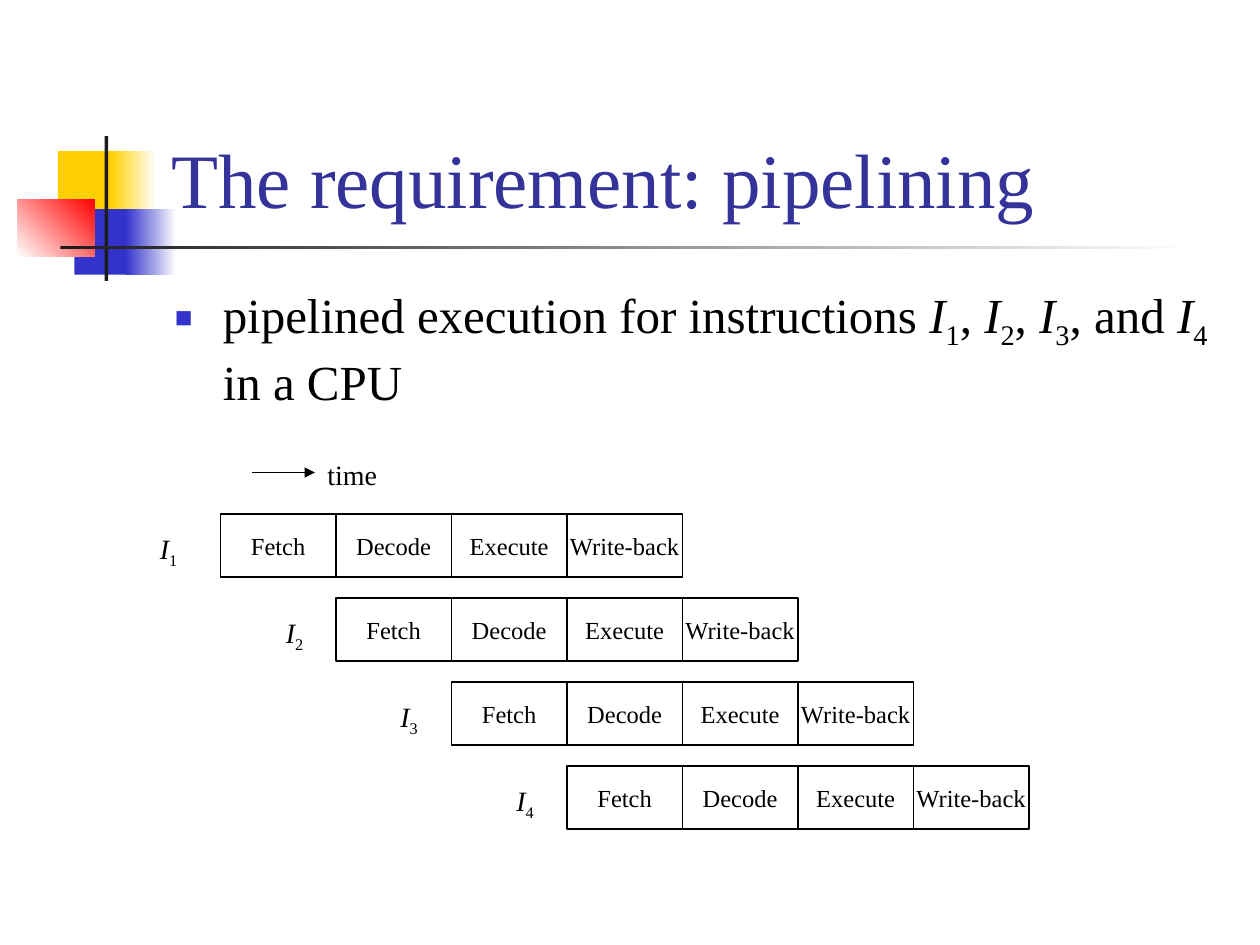
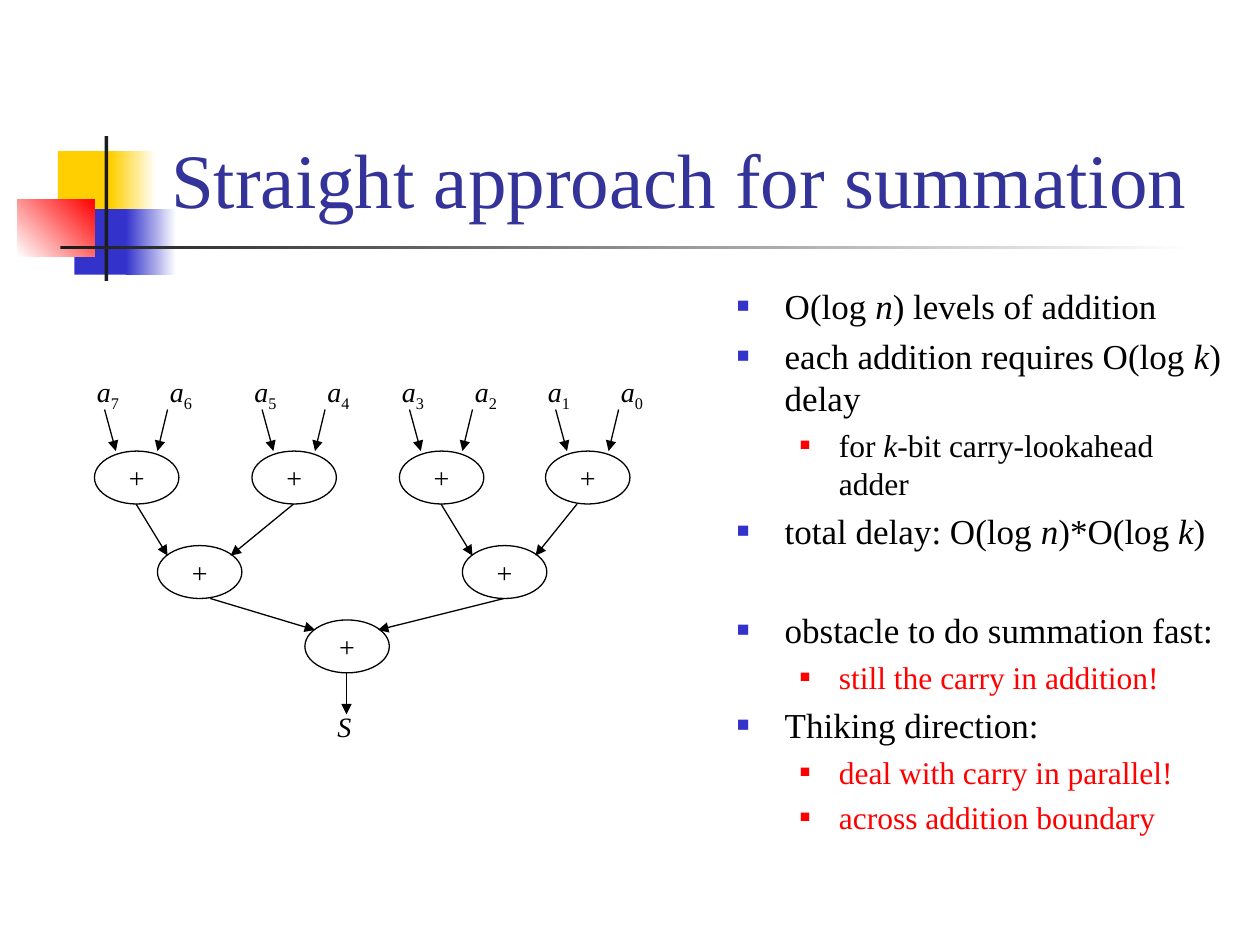
import pptx
import pptx.util
import pptx.dml.color
import pptx.enum.shapes
import pptx.enum.text
import pptx.oxml
import pptx.oxml.ns
from pptx.util import Inches, Pt

RGB = pptx.dml.color.RGBColor
SHAPE = pptx.enum.shapes.MSO_SHAPE
ANCHOR = pptx.enum.text.MSO_ANCHOR
CENTER = pptx.enum.text.PP_ALIGN.CENTER

BLACK = RGB(0, 0, 0)
WHITE = RGB(255, 255, 255)
YELLOW = RGB(0xFF, 0xCF, 0x01)
BLUE = RGB(0x33, 0x33, 0xCC)
RED = RGB(0xFF, 0, 0)
CHARCOAL = RGB(0x1C, 0x1C, 0x1C)
NAVY = RGB(0x33, 0x33, 0x99)
FONT = "Times New Roman"

DECOR = [
    ((0.46, 1.2, 0.48, 0.52), [YELLOW], 0),
    ((0.88, 1.2, 0.36, 0.52), [YELLOW, WHITE], 0),
    ((0.59, 1.66, 0.46, 0.52), [BLUE], 0),
    ((1.0, 1.66, 0.4, 0.52), [BLUE, WHITE], 0),
    ((0.14, 1.58, 0.61, 0.46), [WHITE, RED], 45),
    ((0.83, 1.08, 0.03, 1.15), [CHARCOAL], 0),
    ((0.48, 1.95, 9, 0.03), [CHARCOAL, WHITE], 0),
]

PIPELINE_TITLE = "The requirement: pipelining"
PIPELINE_POINTS = [
    (0, "pipelined execution for instructions |/I|_1|, |/I|_2|, |/I|_3|, and |/I|_4| in a CPU", BLACK, 0),
]
STAGES = ["Fetch", "Decode", "Execute", "Write-back"]
INSTRUCTIONS = [("/I|_1", 1.17), ("/I|_2", 2.17), ("/I|_3", 3.08), ("/I|_4", 4)]

SUM_TITLE = "Straight approach for summation"
SUM_POINTS = [
    (0, "O(log |/n|) levels of addition", BLACK, 0),
    (0, "each addition requires O(log |/k|) delay", BLACK, 0),
    (1, "for |/k|-bit carry-lookahead adder", BLACK, 0),
    (0, "total delay: O(log |/n|)*O(log |/k|)", BLACK, 0),
    (0, "obstacle to do summation fast:", BLACK, 28),
    (1, "still the carry in addition!", RED, 0),
    (0, "Thiking direction:", BLACK, 0),
    (1, "deal with carry in parallel!", RED, 0),
    (1, "across addition boundary", RED, 0),
]
ADDERS = {
    "A": (0.75, 3.58), "B": (2, 3.58), "C": (3.17, 3.58), "D": (4.33, 3.58),
    "AB": (1.25, 4.33), "CD": (3.67, 4.33), "ABCD": (2.42, 4.92),
}
OPERANDS = [("A", 7, 6), ("B", 5, 4), ("C", 3, 2), ("D", 1, 0)]
CARRIES = [
    ("A", 0.33, "AB", 0.08), ("B", 0.33, "AB", 0.58),
    ("C", 0.33, "CD", 0.08), ("D", 0.25, "CD", 0.58),
    ("AB", 0.42, "ABCD", 0.08), ("CD", 0.33, "ABCD", 0.58),
]
ADDER_W, ADDER_H = 0.67, 0.42


def write(paragraph, rich, size, color=BLACK):
    paragraph.font.name = FONT
    paragraph.font.size = Pt(size)
    paragraph.font.color.rgb = color
    for part in rich.split("|"):
        run = paragraph.add_run()
        run.text = part.lstrip("/_")
        if part.startswith("/"):
            run.font.italic = True
        elif part.startswith("_"):
            run.font._element.set("baseline", "-25000")


def add_text(slide, box, rich, size, color=BLACK):
    frame = slide.shapes.add_textbox(*map(Inches, box)).text_frame
    frame.word_wrap = True
    write(frame.paragraphs[0], rich, size, color)
    return frame


def add_label(slide, left, top, width, rich):
    frame = add_text(slide, (left, top, width, 0.37), rich, 16)
    frame.word_wrap = False
    frame.auto_size = pptx.enum.text.MSO_AUTO_SIZE.SHAPE_TO_FIT_TEXT


def add_node(slide, kind, box, caption, size):
    node = slide.shapes.add_shape(kind, *map(Inches, box))
    node.shadow.inherit = False
    node.fill.background()
    node.line.color.rgb = BLACK
    node.line.width = Pt(0.75)
    frame = node.text_frame
    frame.word_wrap = False
    frame.vertical_anchor = ANCHOR.MIDDLE
    frame.paragraphs[0].alignment = CENTER
    write(frame.paragraphs[0], caption, size)


def append_xml(parent, tag, content=""):
    name = tag.split()[0]
    attributes = tag[len(name):]
    parent.append(pptx.oxml.parse_xml(
        f"<a:{name} {pptx.oxml.ns.nsdecls('a')}{attributes}>{content}</a:{name}>"))


def add_arrow(slide, x1, y1, x2, y2):
    arrow = slide.shapes.add_connector(
        pptx.enum.shapes.MSO_CONNECTOR.STRAIGHT, *map(Inches, (x1, y1, x2, y2)))
    arrow.line.color.rgb = BLACK
    arrow.line.width = Pt(0.75)
    append_xml(arrow.line._get_or_add_ln(), 'tailEnd type="triangle"')
    append_xml(arrow._element.spPr, "effectLst")


def add_points(slide, box, points, sizes):
    frame = slide.shapes.add_textbox(*map(Inches, box)).text_frame
    frame.word_wrap = True
    for index, (level, rich, color, gap) in enumerate(points):
        paragraph = frame.add_paragraph() if index else frame.paragraphs[0]
        size = sizes[level]
        paragraph.level = level
        paragraph.space_before = Pt(round(size * 0.23, 1) + gap)
        margin, hang = [(0.38, 0.38), (0.81, 0.31)][level]
        bullet_color, percent = [(BLUE, 60), (RED, 55)][level]
        props = paragraph._p.get_or_add_pPr()
        props.set("marL", str(Inches(margin)))
        props.set("indent", str(-Inches(hang)))
        append_xml(props, "buClr", f'<a:srgbClr val="{str(bullet_color)}"/>')
        append_xml(props, f'buSzPct val="{percent * 1000}"')
        append_xml(props, f'buFont typeface="{FONT}"')
        append_xml(props, 'buChar char="■"')
        write(paragraph, rich, size, color)


def start_slide(deck, title):
    slide = deck.slides.add_slide(deck.slide_layouts[6])
    for box, colors, angle in DECOR:
        block = slide.shapes.add_shape(SHAPE.RECTANGLE, *map(Inches, box))
        block.shadow.inherit = False
        block.line.fill.background()
        if len(colors) == 1:
            block.fill.solid()
            block.fill.fore_color.rgb = colors[0]
        else:
            block.fill.gradient()
            block.fill.gradient_angle = angle
            for stop, color in zip(block.fill.gradient_stops, colors):
                stop.color.rgb = color
    heading = add_text(slide, (1.26, 0.23, 8.52, 1.6), title, 44, NAVY)
    heading.vertical_anchor = ANCHOR.BOTTOM
    return slide


def build_pipeline(deck):
    slide = start_slide(deck, PIPELINE_TITLE)
    add_points(slide, (1.29, 2.21, 8.5, 1.04), PIPELINE_POINTS, [28])
    add_arrow(slide, 2, 3.75, 2.5, 3.75)
    add_label(slide, 2.5, 3.58, 0.6, "time")
    stage_w, row_step = 11 / 12, 2 / 3
    for row, (instruction, label_left) in enumerate(INSTRUCTIONS):
        top = 4.08 + row * row_step
        add_label(slide, label_left, top + 0.09, 0.35, instruction)
        for column, stage in enumerate(STAGES, row):
            box = (1.75 + column * stage_w, top, stage_w, 0.5)
            add_node(slide, SHAPE.RECTANGLE, box, stage, 14)


def build_summation(deck):
    slide = start_slide(deck, SUM_TITLE)
    add_points(slide, (5.75, 2.21, 4.04, 4.71), SUM_POINTS, [20, 18])
    for left, top in ADDERS.values():
        add_node(slide, SHAPE.OVAL, (left, top, ADDER_W, ADDER_H), "+", 16)
    for adder, first, second in OPERANDS:
        left, top = ADDERS[adder]
        for operand, label_dx, start_dx, end_dx in (
                (first, -0.08, 0.08, 0.17), (second, 0.5, 0.58, 0.5)):
            add_label(slide, left + label_dx, 2.92, 0.39, f"/a|_{operand}")
            add_arrow(slide, left + start_dx, 3.25, left + end_dx, top)
    for child, start_dx, parent, end_dx in CARRIES:
        child_left, child_top = ADDERS[child]
        left, top = ADDERS[parent]
        add_arrow(slide, child_left + start_dx, child_top + ADDER_H,
                  left + end_dx, top + 0.08)
    add_arrow(slide, 2.75, 5.33, 2.75, 5.67)
    add_label(slide, 2.58, 5.58, 0.31, "/S")


deck = pptx.Presentation()
deck.slide_width, deck.slide_height = Inches(10), Inches(7.5)
build_pipeline(deck)
build_summation(deck)
deck.save("out.pptx")
